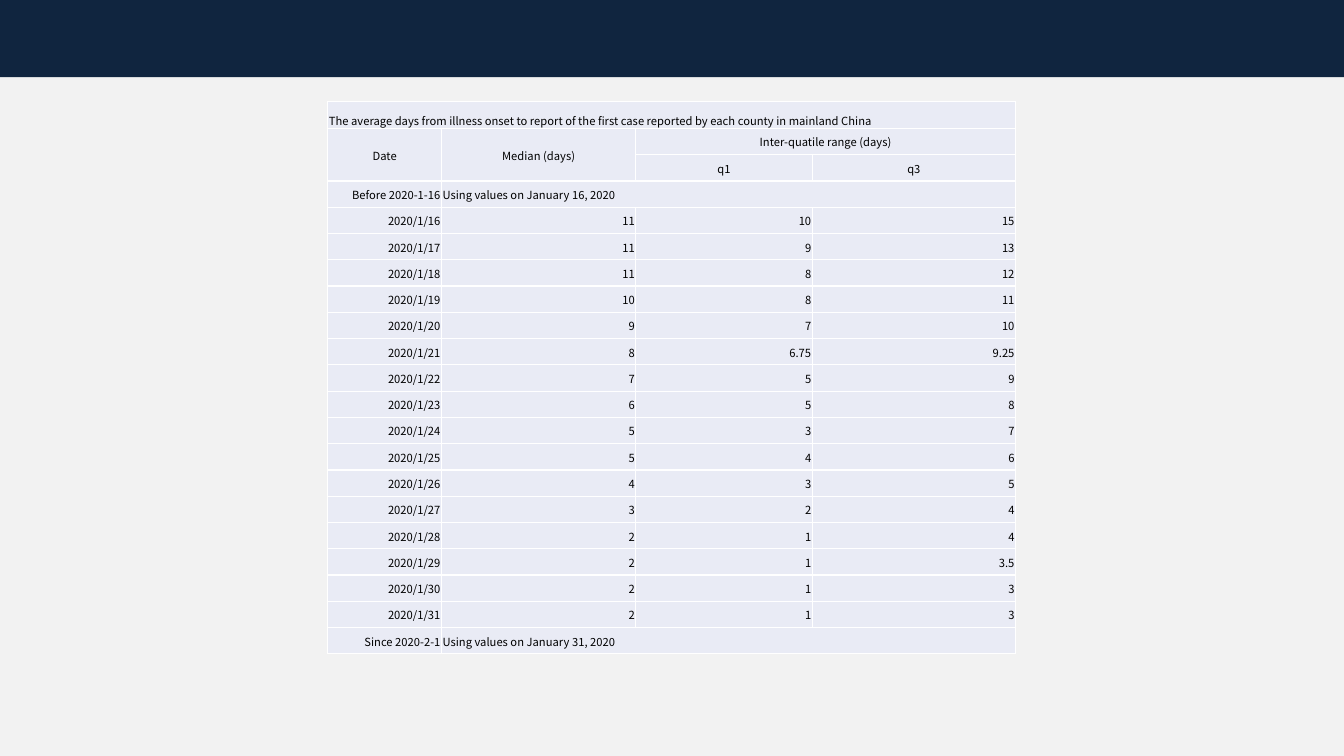
from lxml import etree
from pptx import Presentation
from pptx import util as u
from pptx.dml import color
from pptx.enum import shapes, text
from pptx.oxml import ns

COLORS = {"background": "F2F2F2", "banner": "10253F", "cell": "E9EBF5",
          "border": "FFFFFF", "text": "000000"}
FONT = "Noto Sans CJK SC"
LEFT, CENTER, RIGHT = text.PP_ALIGN.LEFT, text.PP_ALIGN.CENTER, text.PP_ALIGN.RIGHT

COLUMN_WIDTHS = [81.2, 138.8, 126, 145.2]
TITLE_HEIGHT, ROW_HEIGHT = 19.2, 18.77
TITLE = ("The average days from illness onset to report of the first case "
         "reported by each county in mainland China")
FIRST_DAY = 16
DAILY_DELAYS = [
    ("11", "10", "15"), ("11", "9", "13"), ("11", "8", "12"), ("10", "8", "11"),
    ("9", "7", "10"), ("8", "6.75", "9.25"), ("7", "5", "9"), ("6", "5", "8"),
    ("5", "3", "7"), ("5", "4", "6"), ("4", "3", "5"), ("3", "2", "4"),
    ("2", "1", "4"), ("2", "1", "3.5"), ("2", "1", "3"), ("2", "1", "3"),
]


def rgb(name):
    return color.RGBColor.from_string(COLORS[name])


def add_banner(slide, left, top, width, height):
    banner = slide.shapes.add_shape(
        shapes.MSO_SHAPE.RECTANGLE, u.Pt(left), u.Pt(top), u.Pt(width), u.Pt(height))
    banner.shadow.inherit = False
    banner.fill.solid()
    banner.fill.fore_color.rgb = rgb("banner")
    banner.line.fill.background()


def style_cell(cell):
    cell.margin_left = cell.margin_right = cell.margin_top = u.Pt(0.72)
    cell.margin_bottom = u.Pt(0)
    cell.vertical_anchor = text.MSO_ANCHOR.MIDDLE
    properties = cell._tc.get_or_add_tcPr()
    for side in ("a:lnL", "a:lnR", "a:lnT", "a:lnB"):
        border = etree.SubElement(properties, ns.qn(side), w=str(u.Pt(1)))
        solid = etree.SubElement(border, ns.qn("a:solidFill"))
        etree.SubElement(solid, ns.qn("a:srgbClr"), val=COLORS["border"])
    cell.fill.solid()
    cell.fill.fore_color.rgb = rgb("cell")


def write(cell, wording, alignment):
    cell.text_frame.text = wording
    paragraph = cell.text_frame.paragraphs[0]
    paragraph.alignment = alignment
    font = paragraph.runs[0].font
    font.name = FONT
    font.size = u.Pt(8)
    font.color.rgb = rgb("text")


def add_delay_table(slide, left, top, width, height):
    row_count = len(DAILY_DELAYS) + 5
    last = row_count - 1
    delays = slide.shapes.add_table(
        row_count, len(COLUMN_WIDTHS),
        u.Pt(left), u.Pt(top), u.Pt(width), u.Pt(height)).table
    delays.first_row = delays.horz_banding = False
    for column, column_width in zip(delays.columns, COLUMN_WIDTHS):
        column.width = u.Pt(column_width)
    for index, row in enumerate(delays.rows):
        row.height = u.Pt(ROW_HEIGHT if index else TITLE_HEIGHT)
    for cell in delays.iter_cells():
        style_cell(cell)

    for start, end in [((0, 0), (0, 3)), ((1, 0), (2, 0)), ((1, 1), (2, 1)),
                       ((1, 2), (1, 3)), ((3, 1), (3, 3)), ((last, 1), (last, 3))]:
        delays.cell(*start).merge(delays.cell(*end))

    write(delays.cell(0, 0), TITLE, LEFT)
    delays.cell(0, 0).vertical_anchor = text.MSO_ANCHOR.BOTTOM
    for row, column, heading in [(1, 0, "Date"), (1, 1, "Median (days)"),
                                 (1, 2, "Inter-quatile range (days)"),
                                 (2, 2, "q1"), (2, 3, "q3")]:
        write(delays.cell(row, column), heading, CENTER)
    for row, period, day in [(3, "Before 2020-1-16", 16), (last, "Since 2020-2-1", 31)]:
        write(delays.cell(row, 0), period, RIGHT)
        write(delays.cell(row, 1), f"Using values on January {day}, 2020", LEFT)
    for offset, values in enumerate(DAILY_DELAYS):
        date = f"2020/1/{FIRST_DAY + offset}"
        for column, value in enumerate((date, *values)):
            write(delays.cell(4 + offset, column), value, RIGHT)


def main():
    deck = Presentation()
    deck.slide_width, deck.slide_height = u.Pt(960), u.Pt(540)
    slide = deck.slides.add_slide(deck.slide_layouts[6])
    slide.background.fill.solid()
    slide.background.fill.fore_color.rgb = rgb("background")
    add_banner(slide, 0, 0, 960, 55.2)
    add_delay_table(slide, 234.2, 72.5, sum(COLUMN_WIDTHS),
                    TITLE_HEIGHT + ROW_HEIGHT * (len(DAILY_DELAYS) + 4))
    deck.save("out.pptx")


if __name__ == "__main__":
    main()
